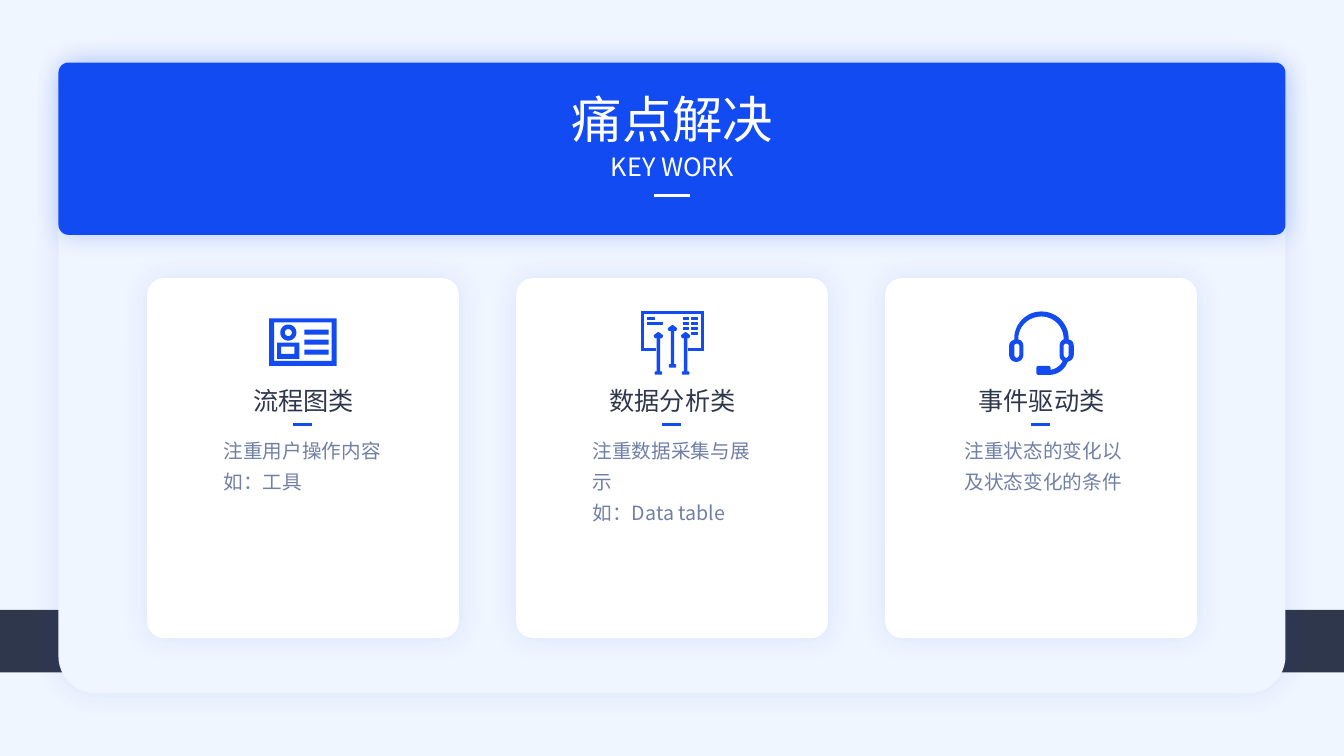
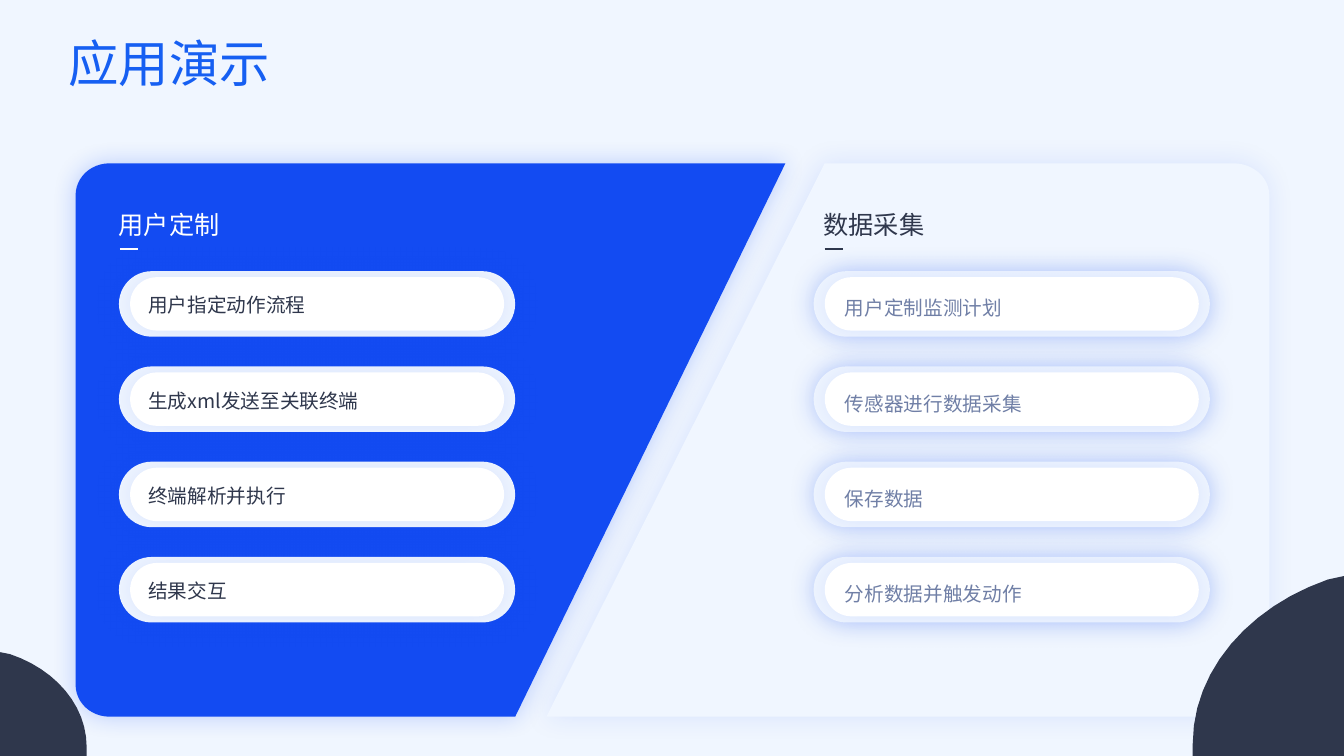
from dataclasses import dataclass
from math import cos, pi, sin

from lxml import etree
from pptx import Presentation
from pptx.dml.color import RGBColor
from pptx.enum.shapes import MSO_CONNECTOR, MSO_SHAPE
from pptx.enum.text import PP_ALIGN
from pptx.oxml.ns import qn
from pptx.util import Inches, Pt


@dataclass(frozen=True)
class Theme:
    font: str = "Noto Sans CJK SC"
    blue: str = "134BF2"
    title_blue: str = "165FF2"
    navy: str = "2F374C"
    grey: str = "707FA6"
    pale: str = "F0F6FF"
    white: str = "FFFFFF"
    title: int = 36
    heading: int = 18
    body: int = 14
    # Shadow strength: (opacity in percent, blur in points)
    soft: tuple = (11, 19)
    strong: tuple = (24, 17)
    deep: tuple = (27, 19)


T = Theme()
SLIDE_W, SLIDE_H = 13.33, 7.5


# Outlines are contours in hundredths of an inch. A pair is a straight step,
# six numbers are a cubic curve (two handles and an end point).
def box(left, top, right, bottom):
    return [(left, top), (right, top), (right, bottom), (left, bottom)]


def circle(cx, cy, radius, steps=32):
    angles = [2 * pi * i / steps for i in range(steps)]
    return [(cx + radius * cos(a), cy + radius * sin(a)) for a in angles]


def pin(cx, top):
    """Arrow on a stem with a small foot."""
    half = [(4, 3), (3, 5), (1, 4), (1, 39), (3, 39), (3, 41)]
    mirrored = [(-x, y) for x, y in reversed(half)]
    return [(cx + x, top + y) for x, y in [(0, 0)] + half + mirrored]


def ear_hole(x):
    return [(x, 43), (x, 44, x + 1, 46, x + 2.5, 46),
            (x + 4, 46, x + 5, 44, x + 5, 43), (x + 5, 34),
            (x + 5, 33, x + 4, 32, x + 2.5, 32), (x + 1, 32, x, 33, x, 34)]


ID_CARD = [
    box(0, 0, 67, 47), box(5, 4, 62, 42),
    box(8, 24, 30, 40), box(12, 28, 25, 35),
    circle(19, 14, 8), circle(19, 14, 3.5),
    *[box(35, top, 59, top + 5) for top in (11, 21, 31)],
]
DASHBOARD = [
    [(0, 0), (62, 0), (62, 39), (47, 39), (47, 37), (60, 37),
     (60, 2), (2, 2), (2, 37), (14, 37), (14, 39), (0, 39)],
    box(6, 6, 13, 8), box(6, 11, 21, 13),
    *[box(42, top, 47, top + 2) for top in (6, 11, 16)],
    *[box(50, top, 56, top + 2) for top in (6, 11, 16, 21)],
    pin(17, 21), pin(31, 14), pin(44, 21),
]
HEADSET = [
    [(58, 50), (55, 58, 48, 63, 39, 63), (29, 63), (28, 63, 27, 62, 27, 61),
     (27, 56), (27, 55, 28, 54, 29, 54), (39, 54), (40, 54, 41, 55, 41, 56),
     (41, 58), (46, 57, 51, 54, 53, 49), (51, 48, 50, 46, 50, 43), (50, 34),
     (50, 31, 52, 28, 54, 28), (54, 27), (54, 15, 44, 5, 32, 5),
     (19, 5, 9, 15, 9, 27), (9, 28), (12, 28, 14, 31, 14, 34), (14, 43),
     (14, 47, 11, 50, 7, 50), (3, 50, 0, 47, 0, 43), (0, 34),
     (0, 31, 2, 29, 5, 28), (5, 27), (5, 12, 17, 0, 32, 0),
     (47, 0, 59, 12, 59, 27), (59, 28), (62, 28, 64, 31, 64, 34), (64, 43),
     (64, 47, 61, 49, 58, 50)],
    ear_hole(5), ear_hole(54),
]
LEFT_PANEL = [[(109, 162), (779, 162), (511, 711), (109, 711),
               (90, 711, 75, 697, 75, 679), (75, 194),
               (75, 176, 90, 162, 109, 162)]]
RIGHT_PANEL = [[(818, 162), (1223, 162), (1243, 162, 1259, 176, 1259, 194),
                (1259, 679), (1259, 697, 1243, 711, 1223, 711), (542, 711)]]
CORNERS = [
    [[(86, 741), (86, 750), (0, 750), (0, 647), (10, 649),
      (55, 664, 86, 700, 86, 741)]],
    [[(1183, 738), (1183, 750), (1333, 750), (1333, 571.5), (1317, 575),
      (1239, 602, 1183, 665, 1183, 738)]],
]

CARDS = [
    dict(title="流程图类", body=["注重用户操作内容", "如：工具"], body_dx=0.66,
         icon=ID_CARD, icon_dx=1.21, icon_top=3.16, icon_line=None),
    dict(title="数据分析类", body=["注重数据采集与展示", "如：Data table"], body_dx=0.66,
         icon=DASHBOARD, icon_dx=1.24, icon_top=3.09, icon_line=T.blue),
    dict(title="事件驱动类", body=["注重状态的变化以", "及状态变化的条件"], body_dx=0.69,
         icon=HEADSET, icon_dx=1.23, icon_top=3.09, icon_line=None),
]
COLUMNS = [
    dict(title="数据采集", title_left=8.07, color=T.navy, pill_left=8.07,
         text_left=8.38, text_dy=0.18, text_color=T.grey, spacing=1.3,
         steps=["用户定制监测计划", "传感器进行数据采集", "保存数据", "分析数据并触发动作"]),
    dict(title="用户定制", title_left=1.08, color=T.white, pill_left=1.18,
         text_left=1.47, text_dy=0.22, text_color=T.navy, spacing=None,
         steps=["用户指定动作流程", "生成xml发送至关联终端", "终端解析并执行", "结果交互"]),
]


def rgb(color):
    return RGBColor.from_string(color)


def style(sp, fill, line=None, shadow=None):
    sp.shadow.inherit = False
    sp.fill.solid()
    sp.fill.fore_color.rgb = rgb(fill)
    if line:
        sp.line.color.rgb = rgb(line)
        sp.line.width = Pt(1)
    else:
        sp.line.fill.background()
    if shadow:
        opacity, blur = shadow
        effects = sp._element.spPr.find(qn("a:effectLst"))
        outer = etree.SubElement(effects, qn("a:outerShdw"), blurRad=str(Pt(blur)),
                                 dist="0", dir="0", algn="ctr", rotWithShape="0")
        clr = etree.SubElement(outer, qn("a:srgbClr"), val=T.blue)
        etree.SubElement(clr, qn("a:alpha"), val=str(opacity * 1000))


def add_box(s, left, top, width, height, fill, radius=None, shadow=None):
    """Rectangle, rounded when a radius ratio is given."""
    kind = MSO_SHAPE.RECTANGLE if radius is None else MSO_SHAPE.ROUNDED_RECTANGLE
    sp = s.shapes.add_shape(kind, Inches(left), Inches(top), Inches(width), Inches(height))
    if radius is not None:
        sp.adjustments[0] = radius
    style(sp, fill, shadow=shadow)


def flatten(contour, steps=12):
    """Turn curves into short straight steps."""
    points = []
    for step in contour:
        if len(step) == 2:
            points.append(step)
            continue
        (x0, y0), (x1, y1, x2, y2, x3, y3) = points[-1], step
        for i in range(1, steps + 1):
            t = i / steps
            a, b, c, d = (1 - t) ** 3, 3 * t * (1 - t) ** 2, 3 * t * t * (1 - t), t ** 3
            points.append((a * x0 + b * x1 + c * x2 + d * x3,
                           a * y0 + b * y1 + c * y2 + d * y3))
    return points


def add_outline(s, contours, fill, left=0, top=0, line=None, shadow=None):
    builder = None
    for contour in contours:
        start, *rest = [(Inches(left + x / 100), Inches(top + y / 100))
                        for x, y in flatten(contour)]
        if builder is None:
            builder = s.shapes.build_freeform(*start)
        else:
            builder.move_to(*start)
        builder.add_line_segments(rest, close=True)
    style(builder.convert_to_shape(), fill, line, shadow)


def add_rule(s, left, top, width, color, weight=2):
    line = s.shapes.add_connector(MSO_CONNECTOR.STRAIGHT, Inches(left), Inches(top),
                                  Inches(left + width), Inches(top))
    line.line.color.rgb = rgb(color)
    line.line.width = Pt(weight)
    etree.SubElement(line._element.spPr, qn("a:effectLst"))


def add_text(s, lines, left, top, width, height, size=T.body, color=T.navy,
             align=PP_ALIGN.LEFT, spacing=None, inset=True):
    tf = s.shapes.add_textbox(Inches(left), Inches(top), Inches(width), Inches(height)).text_frame
    tf.word_wrap = False
    if not inset:
        tf.margin_left = tf.margin_right = tf.margin_top = tf.margin_bottom = 0
    for i, text in enumerate(lines):
        p = tf.add_paragraph() if i else tf.paragraphs[0]
        p.alignment = align
        if spacing:
            p.line_spacing = spacing
        r = p.add_run()
        r.text = text
        r.font.size = Pt(size)
        r.font.color.rgb = rgb(color)
        r.font.name = T.font
        etree.SubElement(r.font._element, qn("a:ea"), typeface=T.font)


def add_slide(prs):
    s = prs.slides.add_slide(prs.slide_layouts[6])
    s.background.fill.solid()
    s.background.fill.fore_color.rgb = rgb(T.pale)
    return s


def add_card(s, card, left):
    add_box(s, left, 2.76, 3.09, 3.57, T.white, radius=0.053, shadow=T.soft)
    add_text(s, [card["title"]], left + 0.69, 3.77, 1.72, 0.4, size=T.heading,
             align=PP_ALIGN.CENTER)
    add_text(s, card["body"], left + card["body_dx"], 4.24, 1.77, 1.3, color=T.grey, spacing=1.3)
    add_rule(s, left + 1.45, 4.21, 0.18, T.blue)
    add_outline(s, card["icon"], T.blue, left + card["icon_dx"], card["icon_top"],
                line=card["icon_line"])


def build_pain_points(prs):
    s = add_slide(prs)
    add_box(s, 0, 6.05, SLIDE_W, 0.62, T.navy)
    add_box(s, 0.58, 0.62, 12.17, 6.26, T.pale, radius=0.059, shadow=T.soft)
    add_box(s, 0.58, 0.62, 12.17, 1.71, T.blue, radius=0.059, shadow=T.strong)
    centred = dict(color=T.white, align=PP_ALIGN.CENTER)
    add_text(s, ["痛点解决"], 4.55, 0.82, 4.24, 0.71, size=T.title, **centred)
    add_text(s, ["KEY WORK"], 4.53, 1.45, 4.28, 0.4, size=T.heading, **centred)
    add_rule(s, 6.49, 1.94, 0.35, T.white, weight=1.75)
    for i, card in enumerate(CARDS):
        add_card(s, card, 1.46 + i * 3.66)


def add_column(s, col):
    add_text(s, [col["title"]], col["title_left"], 2.03, 1.46, 0.4, size=T.heading,
             color=col["color"])
    add_rule(s, col["title_left"] + 0.11, 2.47, 0.18, col["color"])
    for i, step in enumerate(col["steps"]):
        left, top = col["pill_left"], 2.69 + i * 0.945
        add_box(s, left, top, 3.93, 0.65, T.pale, radius=0.5, shadow=T.deep)
        add_box(s, left + 0.11, top + 0.06, 3.71, 0.53, T.white, radius=0.5, shadow=T.soft)
        add_text(s, [step], col["text_left"], top + col["text_dy"], 2.75, 0.26,
                 color=col["text_color"], spacing=col["spacing"], inset=False)


def build_demo(prs):
    s = add_slide(prs)
    add_outline(s, LEFT_PANEL, T.blue, shadow=T.strong)
    add_outline(s, RIGHT_PANEL, T.pale, shadow=T.soft)
    add_text(s, ["应用演示"], 0.58, 0.27, 4.24, 0.71, size=T.title, color=T.title_blue)
    for corner in CORNERS:
        add_outline(s, corner, T.navy)
    for col in COLUMNS:
        add_column(s, col)


def main():
    prs = Presentation()
    prs.slide_width, prs.slide_height = Inches(SLIDE_W), Inches(SLIDE_H)
    build_pain_points(prs)
    build_demo(prs)
    prs.save("out.pptx")


if __name__ == "__main__":
    main()
